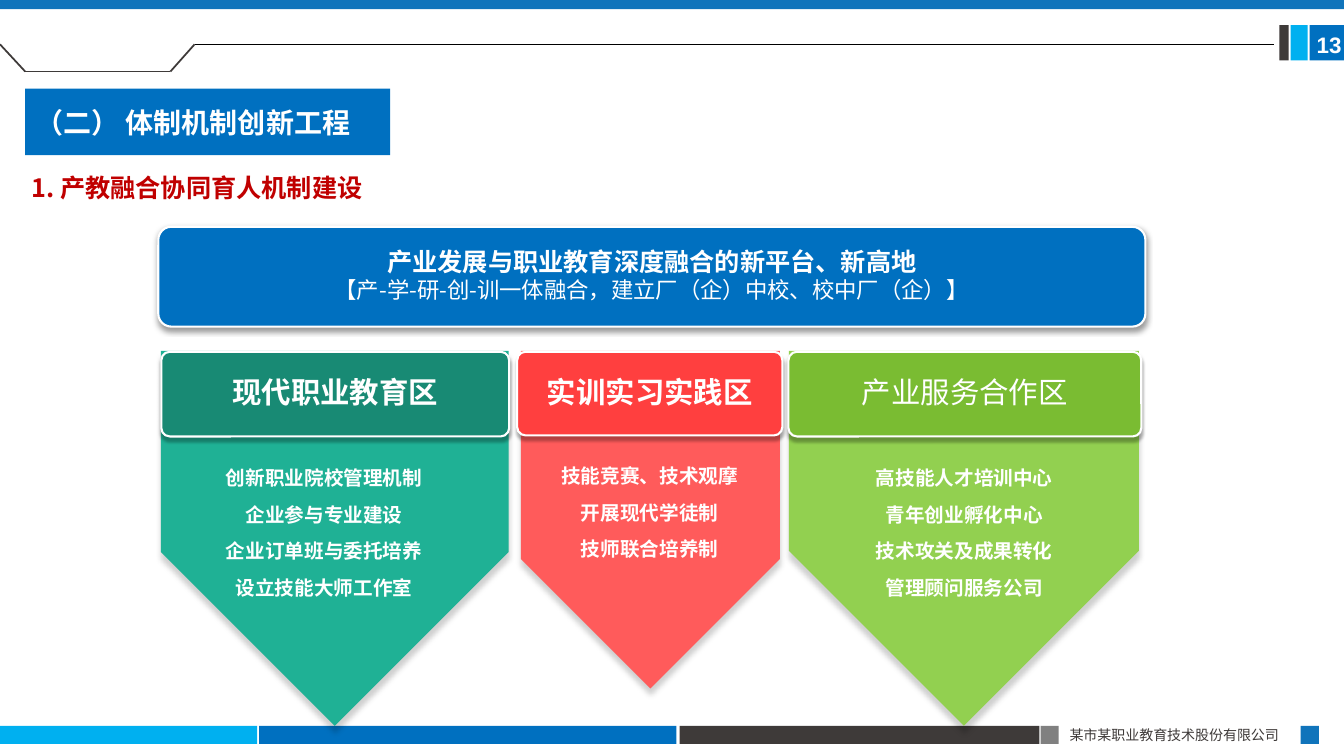
"""Builds the slide on mechanisms for integrating industry and education."""
from itertools import pairwise

from lxml import etree
from pptx import Presentation
from pptx import util as u
from pptx.dml.color import RGBColor
from pptx.enum import shapes, text
from pptx.oxml.ns import qn

CJK = "Noto Sans CJK SC"
WHITE, BLUE, SKY, MID, DARK = "FFFFFF", "0070C0", "00B0F0", "1074BB", "3E3A39"
RECT = shapes.MSO_SHAPE.RECTANGLE
ROUND = shapes.MSO_SHAPE.ROUNDED_RECTANGLE
LEFT, CENTER = text.PP_ALIGN.LEFT, text.PP_ALIGN.CENTER
TOP, MIDDLE = text.MSO_ANCHOR.TOP, text.MSO_ANCHOR.MIDDLE

TITLE = "（二） 体制机制创新工程"
SUBTITLE = "1. 产教融合协同育人机制建设"
COMPANY = "某市某职业教育技术股份有限公司"
PAGE = "13"
BANNER = [
    ("产业发展与职业教育深度融合的新平台、新高地", 18, True),
    ("【产-学-研-创-训一体融合，建立厂（企）中校、校中厂（企）】", 16, False),
]
ZONES = [
    dict(name="现代职业教育区", bold=True, head="188A74", body="1FB195",
         head_box=(1.6, 3.49, 3.45, 0.84), arrow=(3.32, 3.45, 3.72), list_box=(2.13, 4.45, 2.17, 1.52),
         items=["创新职业院校管理机制", "企业参与专业建设", "企业订单班与委托培养", "设立技能大师工作室"]),
    dict(name="实训实习实践区", bold=True, head="FF3F3F", body="FF5B5B",
         head_box=(5.13, 3.49, 2.63, 0.83), arrow=(6.45, 2.57, 3.35), list_box=(5.46, 4.43, 1.97, 1.19),
         items=["技能竞赛、技术观摩", "开展现代学徒制", "技师联合培养制"]),
    dict(name="产业服务合作区", bold=False, head="7ABC32", body="92D050",
         head_box=(7.82, 3.49, 3.5, 0.84), arrow=(9.56, 3.47, 3.72), list_box=(8.58, 4.45, 1.97, 1.56),
         items=["高技能人才培训中心", "青年创业孵化中心", "技术攻关及成果转化", "管理顾问服务公司"]),
]
FRAME = [
    ((0, 7.2, 2.55, 0.18), SKY), ((2.57, 7.2, 4.14, 0.18), BLUE),
    ((6.74, 7.2, 3.57, 0.18), DARK), ((10.32, 7.2, 0.18, 0.18), "808080"),
    ((12.9, 7.2, 0.18, 0.18), MID), ((12.99, 0.25, 0.34, 0.35), BLUE),
    ((12.8, 0.25, 0.17, 0.35), SKY), ((12.69, 0.25, 0.09, 0.35), DARK),
    ((0, 0, 13.33, 0.09), MID),
]
NOTCH = [(0, 0.44), (0.25, 0.71), (1.69, 0.71), (1.93, 0.44)]
RULE_END = (12.64, 0.44)


def rgb(value):
    return RGBColor.from_string(value)


def inches(box):
    return [u.Inches(v) for v in box]


def place(sp, box):
    sp.left, sp.top, sp.width, sp.height = inches(box)


def add_shape(s, kind, box, fill, line=None, shadow=None):
    sp = s.shapes.add_shape(kind, *inches(box))
    sp.shadow.inherit = False
    sp.fill.solid()
    sp.fill.fore_color.rgb = rgb(fill)
    if line:
        sp.line.color.rgb = rgb(line)
        sp.line.width = u.Pt(1.5)
    else:
        sp.line.fill.background()
    if shadow:
        alpha, blur, dist = shadow
        effects = sp._element.spPr.find(qn("a:effectLst"))
        outer = etree.SubElement(effects, qn("a:outerShdw"), blurRad=str(u.Pt(blur)),
                                 dist=str(u.Pt(dist)), dir="5400000", rotWithShape="0")
        color = etree.SubElement(outer, qn("a:srgbClr"), val="000000")
        etree.SubElement(color, qn("a:alpha"), val=str(alpha * 1000))
    return sp


def add_line(s, start, end, color, width):
    line = s.shapes.add_connector(shapes.MSO_CONNECTOR.STRAIGHT, *inches(start + end))
    line.line.color.rgb = rgb(color)
    line.line.width = u.Pt(width)
    etree.SubElement(line._element.spPr, qn("a:effectLst"))


def write(sp, lines, color=WHITE, font=CJK, align=CENTER, anchor=MIDDLE,
          spacing=None, after=0, wrap=True, inset=(0.1, 0.05)):
    tf = sp.text_frame
    tf.auto_size = text.MSO_AUTO_SIZE.NONE
    tf.word_wrap = wrap
    tf.vertical_anchor = anchor
    tf.margin_left = tf.margin_right = u.Inches(inset[0])
    tf.margin_top = tf.margin_bottom = u.Inches(inset[1])
    for i, (words, size, bold) in enumerate(lines):
        p = tf.add_paragraph() if i else tf.paragraphs[0]
        p.alignment = align
        p.space_before = u.Pt(0)
        p.space_after = u.Pt(after)
        if spacing:
            p.line_spacing = spacing
        r = p.add_run()
        r.text = words
        r.font.size = u.Pt(size)
        r.font.bold = bold
        r.font.color.rgb = rgb(color)
        r.font.name = font
        if font != "Arial":
            etree.SubElement(r._r.get_or_add_rPr(), qn("a:ea"), typeface=CJK)


def add_text(s, box, lines, **style):
    write(s.shapes.add_textbox(*inches(box)), lines, anchor=TOP, **style)


def add_frame(s):
    for box, fill in FRAME:
        add_shape(s, RECT, box, fill)
    for start, end in pairwise(NOTCH):
        add_line(s, start, end, DARK, 1.25)
    add_line(s, NOTCH[-1], RULE_END, "000000", 0.5)
    add_text(s, (10.51, 7.16, 2.4, 0.27), [(COMPANY, 10, False)], color=DARK, align=LEFT)
    add_text(s, (13.06, 0.31, 0.27, 0.27), [(PAGE, 16, True)], font="Arial", align=LEFT,
             wrap=False, inset=(0, 0))


def add_headings(s):
    title, body = s.placeholders
    place(title, (0.25, 0.88, 3.62, 0.66))
    title.fill.solid()
    title.fill.fore_color.rgb = rgb(BLUE)
    write(title, [(TITLE, 20, True)], font="Calibri", align=LEFT)
    place(body, (0.21, 1.51, 4.09, 0.56))
    pPr = body.text_frame.paragraphs[0]._p.get_or_add_pPr()
    pPr.set("marL", "0")
    pPr.set("indent", "0")
    etree.SubElement(pPr, qn("a:buNone"))
    write(body, [(SUBTITLE, 18, True)], color="C00000", align=LEFT, anchor=TOP, spacing=1.5)


def add_zones(s):
    banner = add_shape(s, ROUND, (1.57, 2.25, 9.79, 0.99), BLUE, WHITE, (40, 4, 2))
    banner.adjustments[0] = 0.13
    write(banner, BANNER, spacing=0.9, after=2, inset=(0.15, 0.15))
    for zone in ZONES:
        center, width, length = zone["arrow"]
        box = (center - length / 2, 3.48 + (length - width) / 2, length, width)
        arrow = add_shape(s, shapes.MSO_SHAPE.PENTAGON, box, zone["body"], shadow=(19, 4, 5))
        arrow.rotation = 90
    for zone in ZONES:
        head = add_shape(s, ROUND, zone["head_box"], zone["head"], WHITE, (30, 2, 3))
        head.adjustments[0] = 0.1
        write(head, [(zone["name"], 21, zone["bold"])], spacing=0.9, inset=(0.11, 0.11))
        add_text(s, zone["list_box"], [(item, 14, True) for item in zone["items"]],
                 spacing=u.Pt(26), wrap=False)


def main():
    prs = Presentation()
    prs.slide_width, prs.slide_height = u.Inches(13.33), u.Inches(7.5)
    s = prs.slides.add_slide(prs.slide_layouts[1])
    add_frame(s)
    add_headings(s)
    add_zones(s)
    prs.save("out.pptx")


if __name__ == "__main__":
    main()
